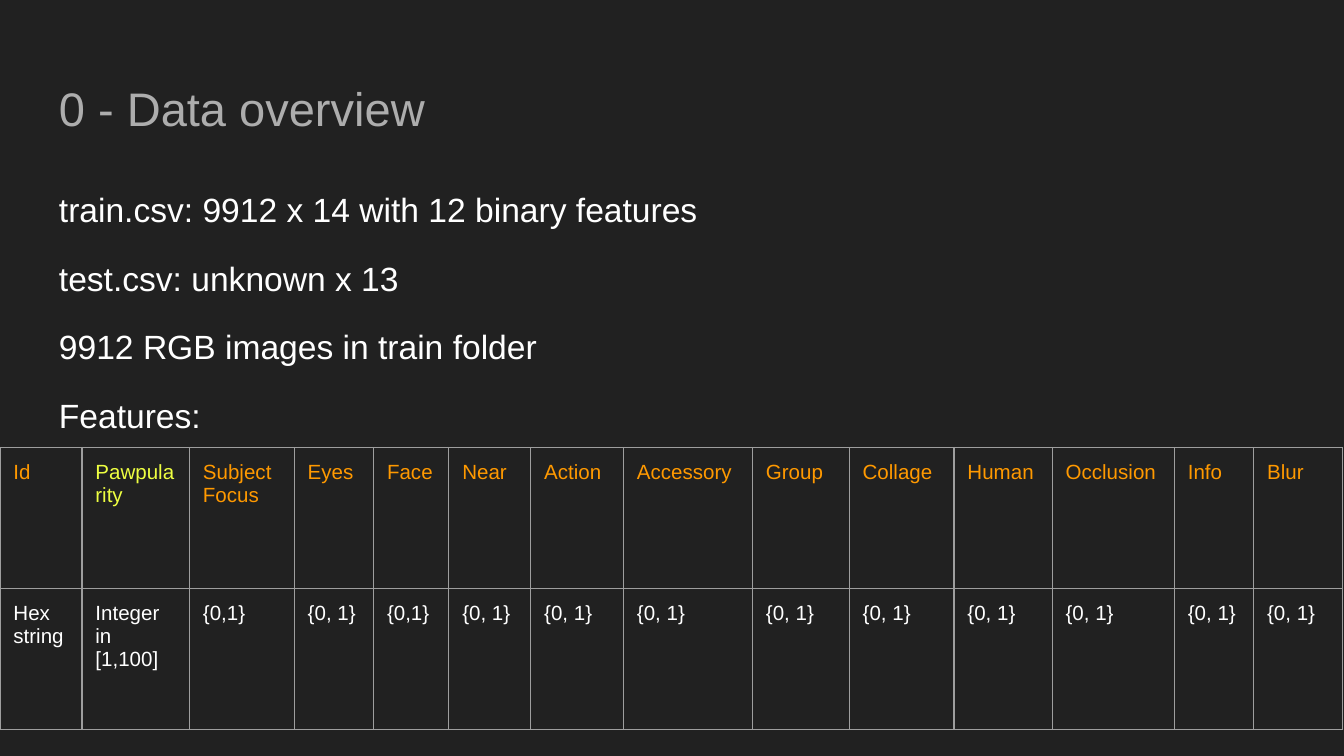
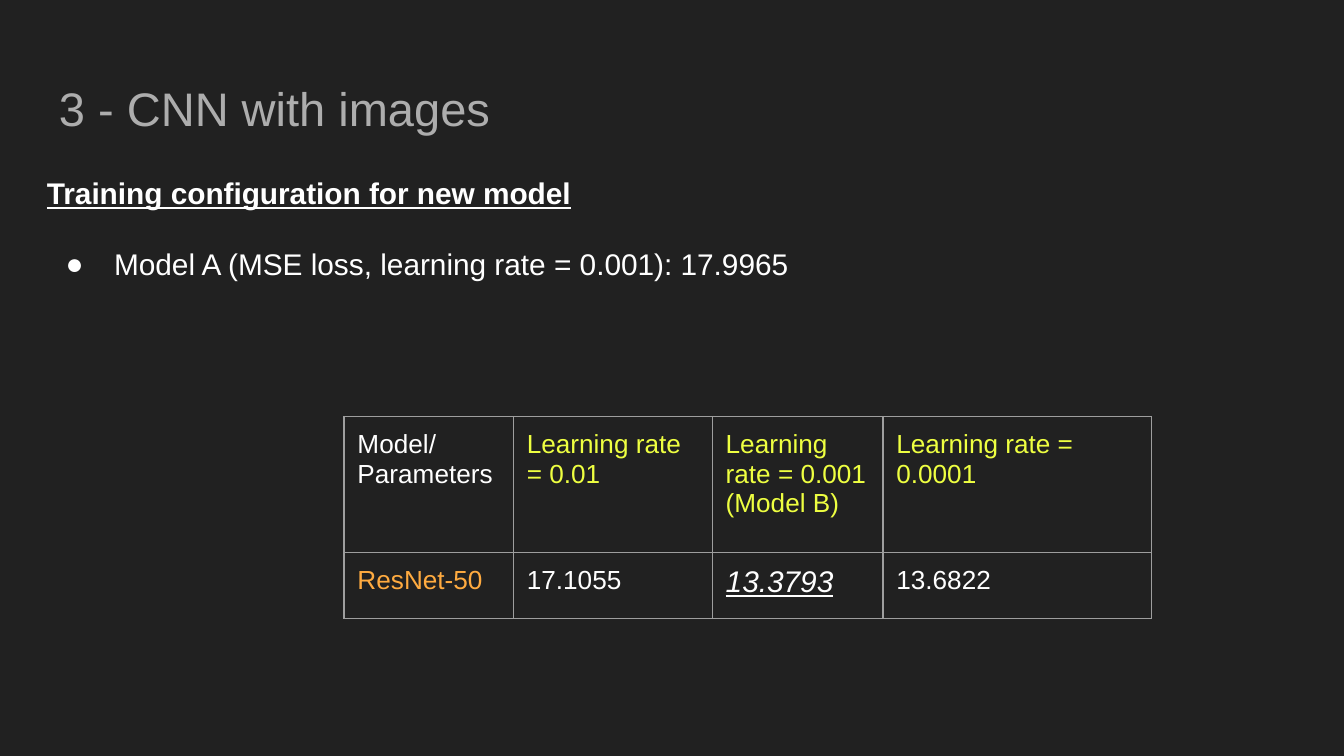
from lxml.etree import SubElement
from pptx import Presentation
from pptx.dml.color import RGBColor
from pptx.oxml.ns import qn
from pptx.util import Inches, Pt

HUES = {
    "back": "212121",
    "title": "ADADAD",
    "text": "FFFFFF",
    "name": "FF9900",
    "goal": "EEFF41",
    "model": "FFAB40",
    "line": "9E9E9E",
}
FONT = "Arial"
PAD = Inches(0.1)
SIDES = ("lnL", "lnR", "lnT", "lnB")


def tint(hue):
    """Give the colour of a named hue."""
    return RGBColor.from_string(HUES[hue])


def put(para, text, size, hue="text", **look):
    """Add one run to a paragraph."""
    run = para.add_run()
    run.text = text
    font = run.font
    font.name = FONT
    font.size = Pt(size)
    font.color.rgb = tint(hue)
    for key, flag in look.items():
        setattr(font, key, flag)


def pad(item):
    """Set equal margins on a text frame or a cell."""
    item.margin_left = item.margin_right = PAD
    item.margin_top = item.margin_bottom = PAD


def add_box(slide, left, top, width, height):
    """Add an empty wrapped text box and return its frame."""
    box = slide.shapes.add_textbox(
        Inches(left), Inches(top), Inches(width), Inches(height))
    frame = box.text_frame
    frame.word_wrap = True
    pad(frame)
    return frame


def add_page(deck, title):
    """Add a dark slide with its title."""
    slide = deck.slides.add_slide(deck.slide_layouts[6])
    fill = slide.background.fill
    fill.solid()
    fill.fore_color.rgb = tint("back")
    frame = add_box(slide, 0.34, 0.49, 9.32, 0.63)
    put(frame.paragraphs[0], title, 25.2, "title")
    return slide


def add_dot(para):
    """Give a paragraph a hanging round bullet."""
    props = para._p.get_or_add_pPr()
    props.set("marL", str(Inches(0.5)))
    props.set("indent", str(Inches(-0.36)))
    hue = SubElement(props, qn("a:buClr"))
    SubElement(hue, qn("a:srgbClr"), val=HUES["text"])
    SubElement(props, qn("a:buFont"), typeface=FONT)
    SubElement(props, qn("a:buChar"), char="●")


def edge(cell):
    """Draw thin lines on all sides of a cell."""
    props = cell._tc.get_or_add_tcPr()
    for side in SIDES:
        line = SubElement(props, qn(f"a:{side}"), w=str(Pt(0.75)))
        fill = SubElement(line, qn("a:solidFill"))
        SubElement(fill, qn("a:srgbClr"), val=HUES["line"])


def add_grid(slide, left, top, cols, rows, cells, size):
    """Add a table from (text, hue, look) cells."""
    grid = slide.shapes.add_table(
        len(rows), len(cols), Inches(left), Inches(top),
        Inches(sum(cols)), Inches(sum(rows))).table
    grid.first_row = grid.horz_banding = False
    for col, width in zip(grid.columns, cols):
        col.width = Inches(width)
    for row, height, line in zip(grid.rows, rows, cells):
        row.height = Inches(height)
        for cell, (text, hue, look) in zip(row.cells, line):
            pad(cell)
            edge(cell)
            cell.fill.background()
            para = cell.text_frame.paragraphs[0]
            put(para, text, **{"size": size, "hue": hue, **look})


def add_data(deck):
    """Build the data overview slide."""
    slide = add_page(deck, "0 - Data overview")
    frame = add_box(slide, 0.34, 1.26, 9.32, 3.74)
    lines = (
        "train.csv: 9912 x 14 with 12 binary features",
        "test.csv: unknown x 13",
        "9912 RGB images in train folder",
        "Features:",
    )
    for rank, text in enumerate(lines):
        para = frame.add_paragraph() if rank else frame.paragraphs[0]
        para.line_spacing = 1.15
        if rank:
            para.space_before = Pt(12)
        put(para, text, 18)

    names = ("Id", "Pawpularity", "Subject Focus", "Eyes", "Face", "Near",
             "Action", "Accessory", "Group", "Collage", "Human", "Occlusion",
             "Info", "Blur")
    kinds = {"Id": "Hex string", "Pawpularity": "Integer in [1,100]",
             "Subject Focus": "{0,1}", "Face": "{0,1}"}
    head = [(name, "goal" if name == "Pawpularity" else "name", {})
            for name in names]
    body = [(kinds.get(name, "{0, 1}"), "text", {}) for name in names]
    cols = (0.61, 0.8, 0.78, 0.59, 0.56, 0.61, 0.69,
            0.96, 0.72, 0.78, 0.73, 0.91, 0.59, 0.66)
    add_grid(slide, 0, 3.33, cols, (1.05, 1.05), (head, body), 11)


def add_train(deck):
    """Build the training results slide."""
    slide = add_page(deck, "3 - CNN with images")
    frame = add_box(slide, 0.25, 1.2, 8.19, 1.28)
    put(frame.paragraphs[0], "Training configuration for new model", 16,
        bold=True, underline=True)
    para = frame.add_paragraph()
    para.space_before = Pt(19)
    add_dot(para)
    put(para, "Model A (MSE loss, learning rate = 0.001): 17.9965", 16)

    rates = ("0.01", "0.001 (Model B)", "0.0001")
    head = [("Model/Parameters", "text", {})]
    head += [(f"Learning rate = {rate}", "goal", {}) for rate in rates]
    best = {"size": 16, "italic": True, "underline": True}
    body = [("ResNet-50", "model", {}), ("17.1055", "text", {}),
            ("13.3793", "text", best), ("13.6822", "text", {})]
    add_grid(slide, 2.56, 3.1, (1.26, 1.48, 1.27, 2), (1.01, 0.49),
             (head, body), 14)


def main():
    """Build and save the deck."""
    deck = Presentation()
    deck.slide_width = Inches(10)
    deck.slide_height = Inches(10) * 9 // 16
    add_data(deck)
    add_train(deck)
    deck.save("out.pptx")


if __name__ == "__main__":
    main()
